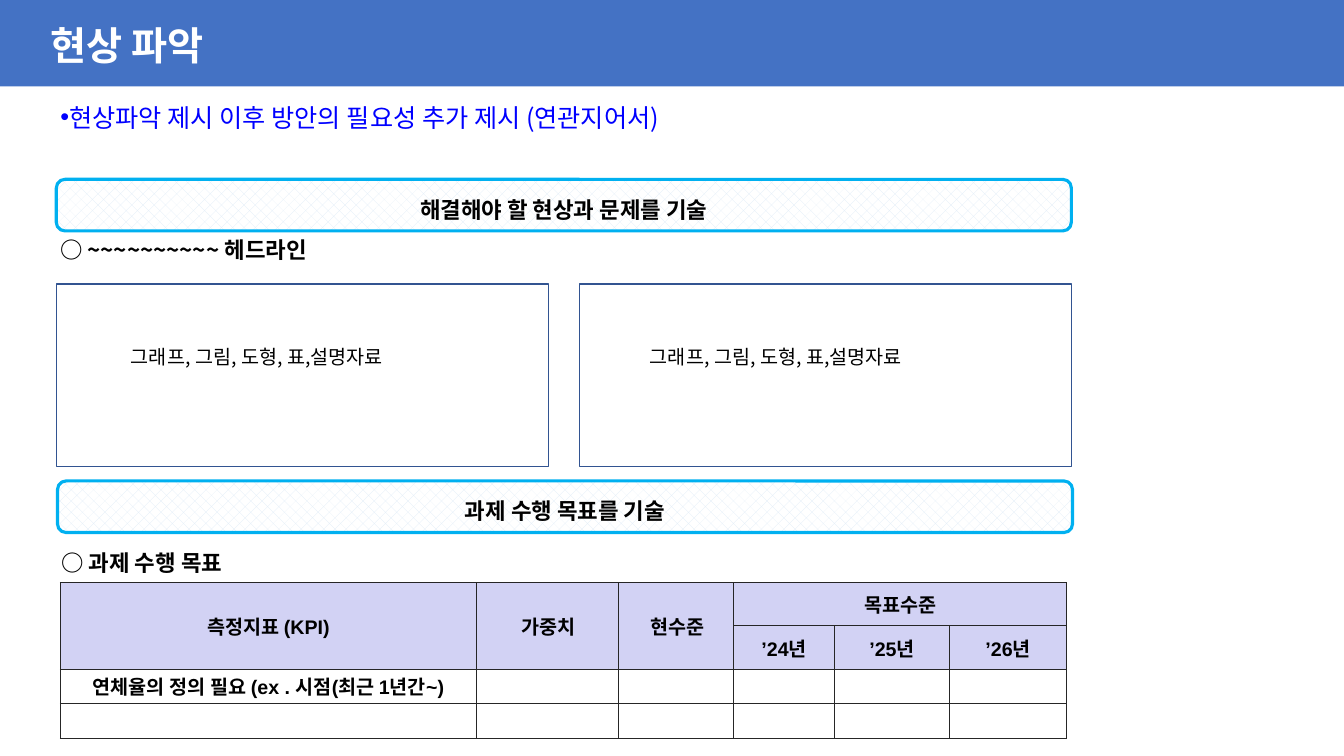
from dataclasses import dataclass
from typing import Any

from lxml import etree
from pptx import Presentation
from pptx.dml.color import RGBColor
from pptx.enum.dml import MSO_PATTERN
from pptx.enum.shapes import MSO_SHAPE
from pptx.enum.text import MSO_ANCHOR, PP_ALIGN
from pptx.oxml.ns import qn
from pptx.util import Cm, Pt

RECT = MSO_SHAPE.RECTANGLE
ROUND = MSO_SHAPE.ROUNDED_RECTANGLE
DOTS = MSO_PATTERN.PERCENT_25
LEFT = PP_ALIGN.LEFT
CENTER = PP_ALIGN.CENTER
TOP = MSO_ANCHOR.TOP
MIDDLE = MSO_ANCHOR.MIDDLE

BLACK = RGBColor(0x00, 0x00, 0x00)
WHITE = RGBColor(0xFF, 0xFF, 0xFF)
BLUE = RGBColor(0x44, 0x72, 0xC4)
BRIGHT = RGBColor(0x00, 0x00, 0xFF)
NAVY = RGBColor(0x32, 0x54, 0x91)
CYAN = RGBColor(0x00, 0xB0, 0xF0)
PALE = RGBColor(0xDE, 0xEB, 0xF7)
LILAC = RGBColor(0xD2, 0xD2, 0xF4)
EDGE = "262626"

NOTO = "Noto Sans CJK KR"
ARIAL = "Arial"
INSETS = ("margin_left", "margin_top", "margin_right", "margin_bottom")


@dataclass(frozen=True)
class Box:
    left: float
    top: float
    width: float
    height: float

    def place(self) -> tuple[Cm, Cm, Cm, Cm]:
        return Cm(self.left), Cm(self.top), Cm(self.width), Cm(self.height)


@dataclass(frozen=True)
class Style:
    size: float
    color: RGBColor = BLACK
    bold: bool = False
    name: str = NOTO
    align: Any = LEFT
    spacing: float = 1.0


@dataclass(frozen=True)
class Label:
    text: str
    box: Box


@dataclass(frozen=True)
class Head:
    text: str
    row: int
    col: int
    last_row: int
    last_col: int
    inset: float = 0.05


TITLE = Style(28, WHITE, True)
LEAD = Style(18, BRIGHT)
HEADING = Style(16, bold=True)
BANNER = Style(16, bold=True, align=CENTER, spacing=1.3)
CAPTION = Style(14)
CELL = Style(14, bold=True, name=ARIAL, align=CENTER)

BANNERS = [
    Label("해결해야 할 현상과 문제를 기술", Box(1.42, 4.52, 25.58, 1.3)),
    Label("과제 수행 목표를 기술", Box(1.45, 12.12, 25.58, 1.3)),
]
HEADINGS = [
    Label("○ ~~~~~~~~~~ 헤드라인", Box(1.52, 5.94, 25.9, 1.98)),
    Label("○ 과제 수행 목표", Box(1.55, 13.84, 25.9, 1.98)),
]
FRAMES = [Box(left, 7.16, 12.4, 4.6) for left in (1.42, 14.6)]
CAPTIONS = [
    Label("그래프, 그림, 도형, 표,설명자료", Box(left, 8.56, 10.2, 2.06))
    for left in (3.05, 16.13)
]
WIDTHS = [10.49, 3.58, 2.9, 2.54, 2.9, 2.95]
HEIGHTS = [1.09, 1.09, 0.87, 0.87]
HEADS = [
    Head("측정지표 (KPI)", 0, 0, 1, 0),
    Head("가중치", 0, 1, 1, 1, 0.1),
    Head("현수준", 0, 2, 1, 2, 0.1),
    Head("목표수준", 0, 3, 0, 5),
    *(Head(f"’{year}년", 1, col, 1, col) for col, year in enumerate((24, 25, 26), 3)),
]


def assign(target: Any, values: dict[str, Any]) -> None:
    for key, value in values.items():
        setattr(target, key, value)


def write(frame: Any, text: str, style: Style) -> Any:
    para = frame.paragraphs[0]
    assign(para, {
        "alignment": style.align,
        "line_spacing": style.spacing,
        "space_before": Pt(0),
    })
    run = para.add_run()
    run.text = text
    assign(run.font, {"size": Pt(style.size), "bold": style.bold, "name": style.name})
    run.font.color.rgb = style.color
    etree.SubElement(run.font._element, qn("a:ea"), typeface=NOTO)
    return para


def fill_holder(holder: Any, box: Box, text: str, style: Style, anchor: Any) -> Any:
    assign(holder, dict(zip(("left", "top", "width", "height"), box.place())))
    assign(holder.text_frame, {"word_wrap": True, "vertical_anchor": anchor})
    return write(holder.text_frame, text, style)


def add_text(shapes: Any, label: Label, style: Style, inset: bool) -> None:
    frame = shapes.add_textbox(*label.box.place()).text_frame
    frame.word_wrap = True
    if not inset:
        assign(frame, dict.fromkeys(INSETS, 0))
    write(frame, label.text, style)


def add_panel(shapes: Any, kind: Any, box: Box, line: RGBColor | None, weight: float) -> Any:
    panel = shapes.add_shape(kind, *box.place())
    panel.shadow.inherit = False
    panel.fill.background()
    if line is None:
        panel.line.fill.background()
    else:
        panel.line.color.rgb = line
        panel.line.width = Pt(weight)
    return panel


def add_banner(shapes: Any, label: Label) -> None:
    panel = add_panel(shapes, ROUND, label.box, CYAN, 2.25)
    panel.fill.patterned()
    panel.fill.pattern = DOTS
    panel.fill.fore_color.rgb = PALE
    panel.fill.back_color.rgb = WHITE
    assign(panel.text_frame, {"word_wrap": True, "vertical_anchor": MIDDLE})
    write(panel.text_frame, label.text, BANNER)


def edge_cell(cell: Any) -> None:
    props = cell._tc.get_or_add_tcPr()
    for spot, side in enumerate(("lnL", "lnR", "lnT", "lnB")):
        line = etree.Element(qn(f"a:{side}"), w=str(Pt(0.75)))
        solid = etree.SubElement(line, qn("a:solidFill"))
        etree.SubElement(solid, qn("a:srgbClr"), val=EDGE)
        props.insert(spot, line)


def add_goals(shapes: Any) -> None:
    box = Box(1.52, 14.68, sum(WIDTHS), sum(HEIGHTS))
    table = shapes.add_table(len(HEIGHTS), len(WIDTHS), *box.place()).table
    for col, width in zip(table.columns, WIDTHS):
        col.width = Cm(width)
    for index, height in enumerate(HEIGHTS):
        row = table.rows[index]
        row.height = Cm(height)
        for cell in row.cells:
            assign(cell, {"vertical_anchor": MIDDLE, **dict.fromkeys(INSETS, 0)})
            cell.fill.solid()
            cell.fill.fore_color.rgb = LILAC if index < 2 else WHITE
            edge_cell(cell)
    for head in HEADS:
        cell = table.cell(head.row, head.col)
        end = table.cell(head.last_row, head.last_col)
        if (head.row, head.col) != (head.last_row, head.last_col):
            cell.merge(end)
        assign(cell, {**dict.fromkeys(INSETS, Cm(0.05)), "margin_left": Cm(head.inset)})
        write(cell.text_frame, head.text, CELL)
    write(table.cell(2, 0).text_frame, "연체율의 정의 필요 (ex . 시점(최근 1년간~)", CELL)


def main() -> None:
    deck = Presentation()
    assign(deck, {"slide_width": Cm(33.87), "slide_height": Cm(19.05)})
    shapes = deck.slides.add_slide(deck.slide_layouts[1]).shapes

    bar = add_panel(shapes, RECT, Box(0, 0, 33.87, 2.18), None, 0)
    bar.fill.solid()
    bar.fill.fore_color.rgb = BLUE
    shapes.title._element.addprevious(bar._element)

    fill_holder(shapes.title, Box(1.02, 0.41, 16.13, 1.45), "현상 파악", TITLE, MIDDLE)
    lead = fill_holder(
        shapes.placeholders[1], Box(1.27, 2.44, 25, 1.8),
        "현상파악 제시 이후 방안의 필요성 추가 제시 (연관지어서)", LEAD, TOP,
    )
    props = lead._p.get_or_add_pPr()
    props.set("marL", "0")
    props.set("indent", "0")
    etree.SubElement(props, qn("a:buChar"), char="•")

    for box in FRAMES:
        add_panel(shapes, RECT, box, NAVY, 1)
    for label in CAPTIONS:
        add_text(shapes, label, CAPTION, True)
    for label in BANNERS:
        add_banner(shapes, label)
    for label in HEADINGS:
        add_text(shapes, label, HEADING, False)
    add_goals(shapes)
    deck.save("out.pptx")


if __name__ == "__main__":
    main()
